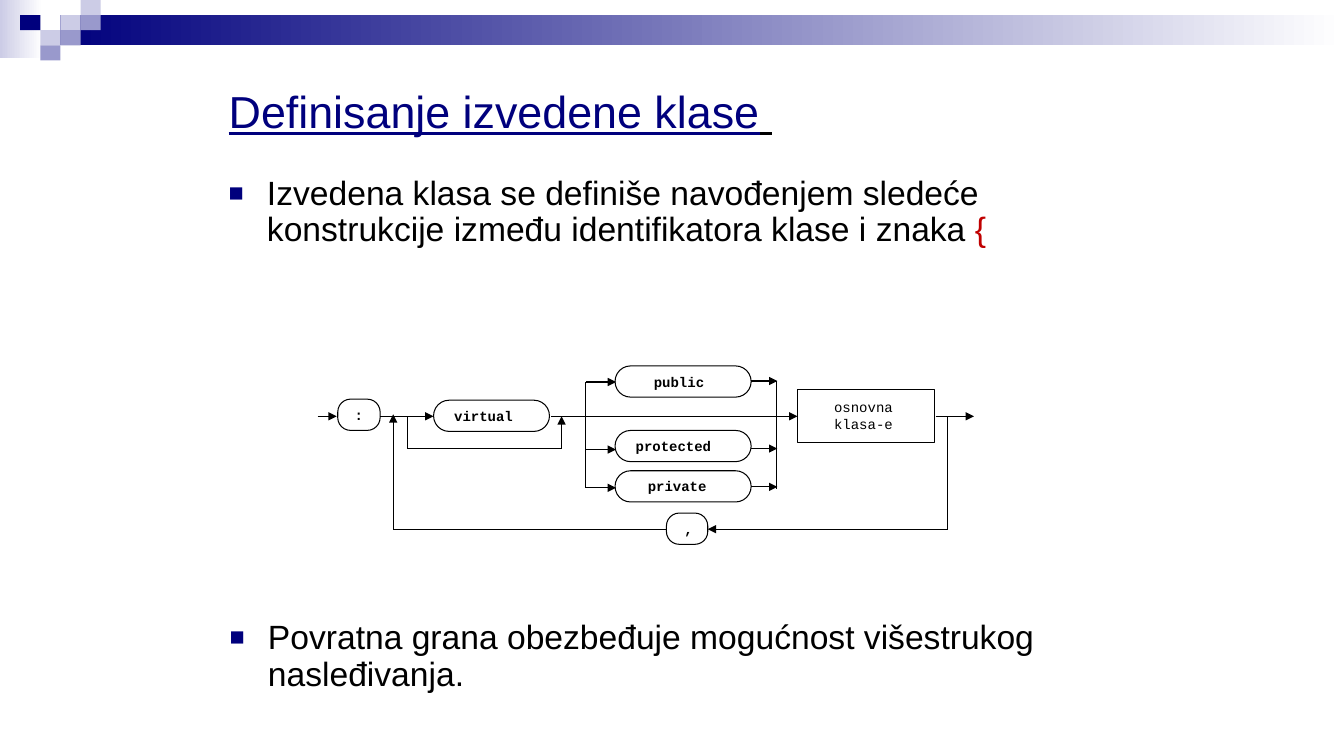
import pptx
import pptx.util
import pptx.dml.color
import pptx.enum.shapes
import pptx.enum.text
import pptx.oxml
import pptx.oxml.ns

SCALE = 9144
COLORS = {"navy": "00007D", "mid": "9999CC", "pale": "CCCCE6",
          "white": "FFFFFF", "black": "000000", "red": "C00000"}
KINDS = pptx.enum.shapes.MSO_SHAPE
ANCHOR = pptx.enum.text.MSO_ANCHOR
ALIGN = pptx.enum.text.PP_ALIGN


def px(n):
    return pptx.util.Emu(n * SCALE)


def color(name):
    return pptx.dml.color.RGBColor.from_string(COLORS[name])


def apply(item, form):
    for key, value in form.items():
        setattr(item, key, value)


def add_node(parent, tag, **values):
    node = pptx.oxml.parse_xml(f"<a:{tag} {pptx.oxml.ns.nsdecls('a')}/>")
    for key, value in values.items():
        node.set(key, str(value))
    parent.append(node)
    return node


def add_run(para, text, tint, form):
    run = para.add_run()
    run.text = text
    apply(run.font, form)
    run.font.color.rgb = color(tint)


def add_block(slide, kind, box, fill):
    shape = slide.shapes.add_shape(kind, *map(px, box))
    shape.shadow.inherit = False
    shape.line.fill.background()
    if isinstance(fill, tuple):
        shape.fill.gradient()
        shape.fill.gradient_angle = 0
        for stop, tint in zip(shape.fill.gradient_stops, fill):
            stop.color.rgb = color(tint)
    else:
        shape.fill.solid()
        shape.fill.fore_color.rgb = color(fill)
    return shape


def add_banner(slide, box):
    left, top, width, height = box
    add_block(slide, KINDS.RECTANGLE, (left, top, 42, 58), ("pale", "white"))
    add_block(slide, KINDS.RECTANGLE, (left + 60, top + 15, width - 60, 30),
              ("navy", "white"))
    tiles = [(3, 1, "pale"), (4, 0, "pale"), (4, 1, "mid"), (2, 2, "pale"),
             (1, 1, "navy"), (3, 2, "mid"), (2, 3, "mid")]
    for col, row, tint in tiles:
        add_block(slide, KINDS.RECTANGLE,
                  (left + col * 20, top + row * 15, 20, 15), tint)


def add_text(slide, box, parts, form, anchor=ANCHOR.TOP):
    frame = slide.shapes.add_textbox(*map(px, box)).text_frame
    apply(frame, {"word_wrap": True, "vertical_anchor": anchor})
    para = frame.paragraphs[0]
    for text, tint in parts:
        add_run(para, text, tint, form)
    return para


def add_title(slide, box):
    form = {"name": "Arial", "size": pptx.util.Pt(32), "underline": True}
    parts = [("Definisanje izvedene klase", "navy"), (" ", "black")]
    add_text(slide, box, parts, form, ANCHOR.MIDDLE)


def add_point(slide, box, parts):
    form = {"name": "Arial", "size": pptx.util.Pt(24)}
    para = add_text(slide, box, parts, form)
    para.line_spacing = 0.9
    props = para._p.get_or_add_pPr()
    props.set("marL", str(px(38)))
    props.set("indent", str(px(-38)))
    add_node(add_node(props, "buClr"), "srgbClr", val=COLORS["navy"])
    add_node(props, "buSzPct", val=75000)
    add_node(props, "buFont", typeface="Arial")
    add_node(props, "buChar", char="■")


def add_term(slide, kind, box, text, pad, right=0, bold=True):
    shape = add_block(slide, kind, box, "white")
    shape.line.color.rgb = color("black")
    shape.line.width = pptx.util.Pt(0.75)
    if kind == KINDS.ROUNDED_RECTANGLE:
        shape.adjustments[0] = 0.5 if box[2] > 100 else 0.41
    frame = shape.text_frame
    apply(frame, {"word_wrap": not bold, "vertical_anchor": ANCHOR.MIDDLE,
                  "margin_left": px(pad), "margin_right": px(right),
                  "margin_top": 0, "margin_bottom": 0})
    para = frame.paragraphs[0]
    para.alignment = ALIGN.LEFT if bold else ALIGN.CENTER
    add_run(para, text, "black", {"name": "Courier New", "bold": bold,
                                  "size": pptx.util.Pt(10)})


def add_line(slide, ends, arrow):
    line = slide.shapes.add_connector(
        pptx.enum.shapes.MSO_CONNECTOR.STRAIGHT, *map(px, ends))
    line.line.color.rgb = color("black")
    line.line.width = pptx.util.Pt(0.75)
    if arrow:
        add_node(line.line._get_or_add_ln(), "tailEnd", type="triangle")
    add_node(line._element.spPr, "effectLst")


def add_chart(slide, box):
    left, top, width, height = box
    terms = [(":", 20, 33, 42, 13), ("virtual", 115, 34, 115, 16),
             ("public", 295, 0, 135, 34), ("protected", 295, 64, 135, 16),
             ("private", 295, 104, 135, 28), (",", 346, 146, 41, 14)]
    for text, x, y, wide, pad in terms:
        add_term(slide, KINDS.ROUNDED_RECTANGLE,
                 (left + x, top + y, wide, 31), text, pad)
    add_term(slide, KINDS.RECTANGLE, (left + 476, top + 23, 136, 53),
             "osnovna klasa-e", 10, 15, False)

    main, loop, back = 50, 82, 162
    arrows = [(0, main, 19, main), (62, main, 115, main),
              (232, main, 476, main), (613, main, 651, main),
              (242, loop, 242, main), (75, back, 75, 48),
              (625, back, 387, back)]
    for y in (16, 83, 121):
        arrows += [(266, y, 296, y), (430, y - 1, 456, y - 1)]
    plain = [(89, main, 89, loop), (89, loop, 242, loop),
             (266, 16, 266, 121), (455, 15, 455, 122),
             (625, main, 625, back), (346, back, 75, back)]
    for group, arrow in ((arrows, True), (plain, False)):
        for x1, y1, x2, y2 in group:
            add_line(slide, (left + x1, top + y1, left + x2, top + y2), arrow)


def main():
    deck = pptx.Presentation()
    apply(deck, {"slide_width": px(1333), "slide_height": px(750)})
    slide = deck.slides.add_slide(deck.slide_layouts[6])
    add_banner(slide, (0, 0, 1333, 60))
    add_title(slide, (217, 50, 900, 120))
    add_point(slide, (217, 170, 900, 118), [
        ("Izvedena klasa se definiše navođenjem sledeće konstrukcije "
         "između identifikatora klase i znaka ", "black"), ("{", "red")])
    add_chart(slide, (315, 363, 651, 177))
    add_point(slide, (218, 611, 900, 118), [
        ("Povratna grana obezbeđuje mogućnost višestrukog nasleđivanja.",
         "black")])
    deck.save("out.pptx")


if __name__ == "__main__":
    main()
